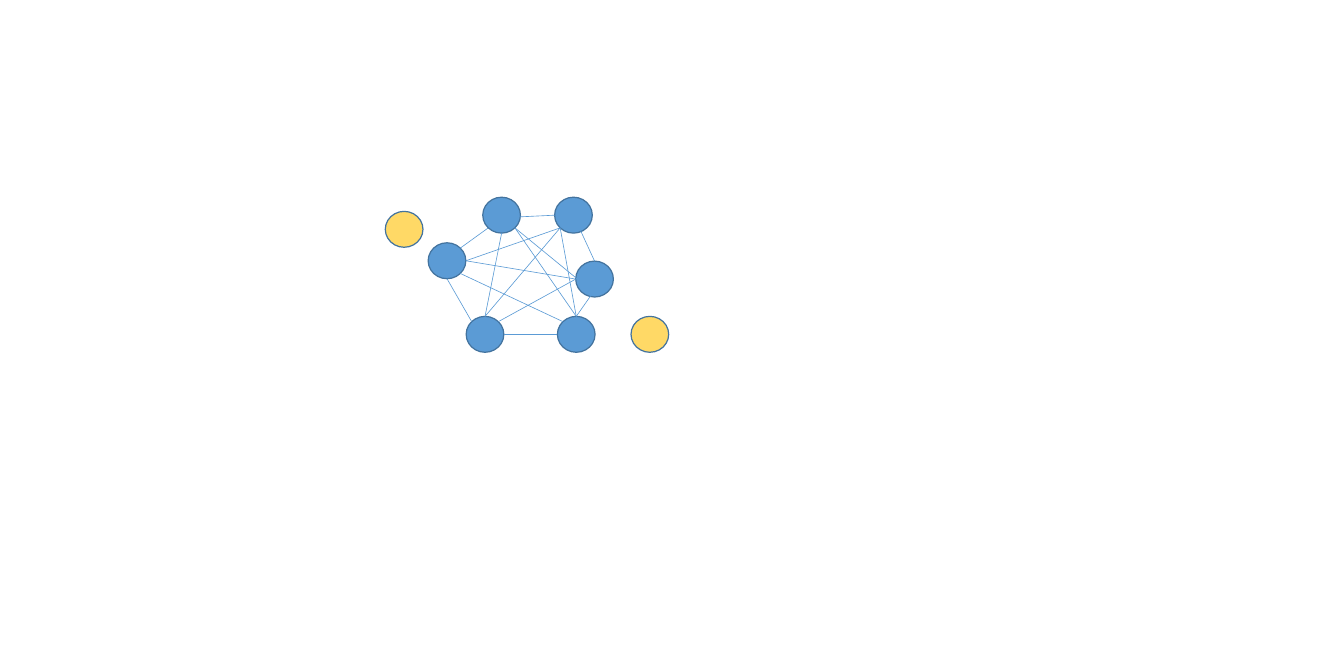
from dataclasses import dataclass
from math import sqrt
from pptx import Presentation
from pptx.dml.color import RGBColor
from pptx.enum.shapes import MSO_CONNECTOR, MSO_SHAPE
from pptx.oxml.ns import qn
from pptx.util import Cm, Pt
from lxml.etree import SubElement


@dataclass(frozen=True)
class Theme:
    member: RGBColor = RGBColor(0x5B, 0x9B, 0xD5)
    outsider: RGBColor = RGBColor(0xFF, 0xD9, 0x66)
    outline: RGBColor = RGBColor(0x43, 0x73, 0x9E)
    outline_width: Pt = Pt(1)
    link_width: Pt = Pt(0.5)


@dataclass(frozen=True)
class Box:
    left: float
    top: float


THEME = Theme()
NODE_WIDTH, NODE_HEIGHT = 1.09, 1.04

MEMBERS = {
    "west": (1.24, 1.32),
    "northwest": (2.82, 0),
    "southwest": (2.34, 3.45),
    "northeast": (4.9, 0),
    "east": (5.51, 1.85),
    "southeast": (4.98, 3.45),
}
OUTSIDERS = {"right": (7.11, 3.45), "left": (0, 0.41)}

DIAGONAL = sqrt(0.5)
PORTS = {
    "N": (0, -1), "S": (0, 1), "W": (-1, 0), "E": (1, 0),
    "NE": (DIAGONAL, -DIAGONAL), "NW": (-DIAGONAL, -DIAGONAL),
    "SE": (DIAGONAL, DIAGONAL), "SW": (-DIAGONAL, DIAGONAL),
    "inner E": (0.44, 0.12), "inner S": (0.35, 0.8),
    "inner SW": (-0.12, 0.8), "inner W": (-0.77, 0.12),
}
LINKS = [
    ("west", "NE", "northwest", "SW"),
    ("northwest", "inner E", "northeast", "W"),
    ("northeast", "inner S", "east", "N"),
    ("east", "inner SW", "southeast", "N"),
    ("west", "S", "southwest", "NW"),
    ("southwest", "E", "southeast", "W"),
    ("northwest", "S", "southwest", "N"),
    ("northwest", "SE", "east", "inner W"),
    ("northwest", "SE", "southeast", "N"),
    ("northeast", "SW", "west", "E"),
    ("northeast", "SW", "southwest", "N"),
    ("northeast", "SW", "southeast", "N"),
    ("east", "W", "west", "E"),
    ("east", "W", "southwest", "NE"),
    ("southeast", "NW", "west", "SE"),
]


def add_node(group, box, position, color):
    left, top = position
    node = group.shapes.add_shape(
        MSO_SHAPE.OVAL, Cm(box.left + left), Cm(box.top + top),
        Cm(NODE_WIDTH), Cm(NODE_HEIGHT))
    node.shadow.inherit = False
    node.fill.solid()
    node.fill.fore_color.rgb = color
    node.line.color.rgb = THEME.outline
    node.line.width = THEME.outline_width


def port_point(box, member, port):
    left, top = MEMBERS[member]
    across, down = PORTS[port]
    return (Cm(box.left + left + NODE_WIDTH * (1 + across) / 2),
            Cm(box.top + top + NODE_HEIGHT * (1 + down) / 2))


def add_link(group, start, end):
    link = group.shapes.add_connector(MSO_CONNECTOR.STRAIGHT, *start, *end)
    link.line.color.rgb = THEME.member
    link.line.width = THEME.link_width
    SubElement(link._element.spPr, qn("a:effectLst"))


def add_network(page, box):
    group = page.shapes.add_group_shape()
    for nodes, color in ((MEMBERS, THEME.member), (OUTSIDERS, THEME.outsider)):
        for position in nodes.values():
            add_node(group, box, position, color)
    for source, exit_port, target, entry_port in LINKS:
        add_link(group, port_point(box, source, exit_port),
                 port_point(box, target, entry_port))


deck = Presentation()
deck.slide_width, deck.slide_height = Cm(38.89), Cm(19.05)
page = deck.slides.add_slide(deck.slide_layouts[6])
add_network(page, Box(11.15, 5.71))
deck.save("out.pptx")
